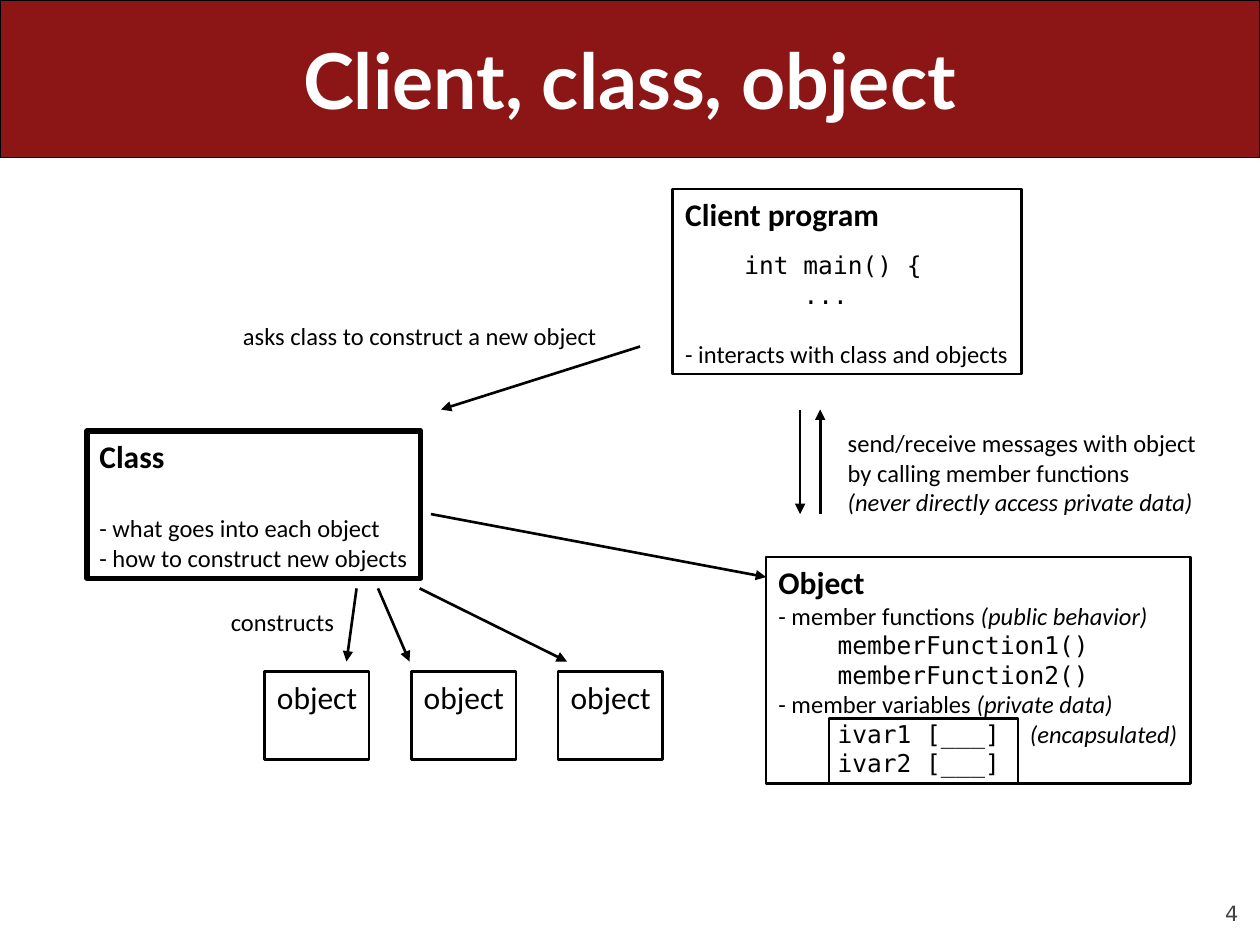
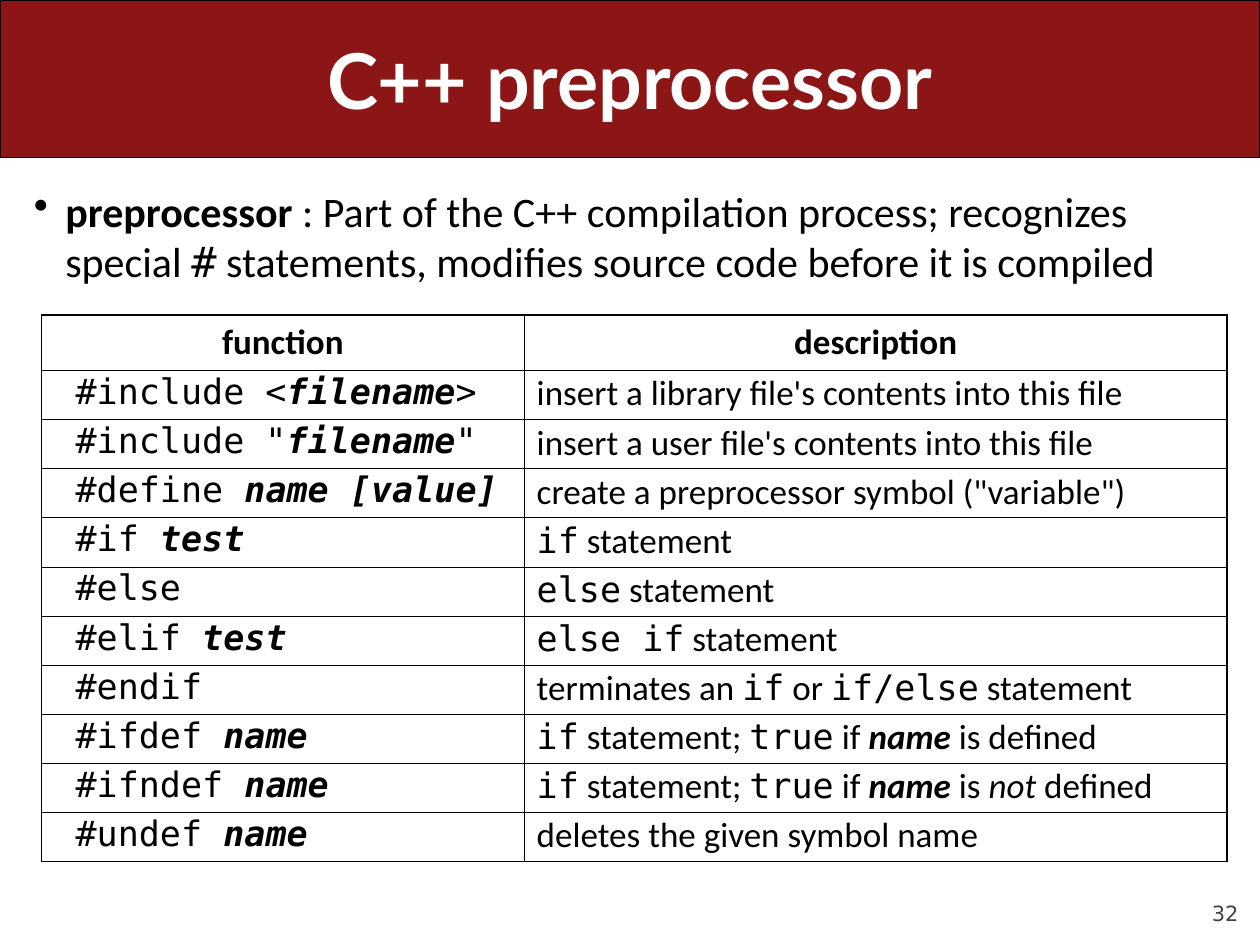
from lxml import etree
from pptx import Presentation
from pptx import util as u
from pptx.dml import color as col
from pptx.enum import shapes as es, text as et
from pptx.oxml import ns

HUE = {"band": "8C1515", "ink": "000000", "paper": "FFFFFF", "grey": "424242"}
FONT = {"head": "Lato", "body": "Calibri", "code": "DejaVu Sans Mono", "page": "DejaVu Sans"}
PAD = {"margin_left": 0.1, "margin_right": 0.1, "margin_top": 0.05, "margin_bottom": 0.05}
TAB = 0.47

# Each run is (words, marks): m = code font, b = bold, i = italic.
BOXES = [
    ((0.69, 3.42, 2.65, 1.17), 3, [
        {"runs": [("Class", "b")], "size": 18},
        {"runs": [("- what goes into each object", "")], "before": 22},
        {"runs": [("- how to construct new objects", "")]}]),
    ((5.34, 1.5, 2.77, 1.47), 1.5, [
        {"runs": [("Client program", "b")], "size": 18},
        {"runs": [("int main() {", "m")], "before": 10, "left": TAB},
        {"runs": [("...", "m")], "left": 2 * TAB},
        {"runs": [("- interacts with class and objects", "")], "before": 17}]),
    ((6.08, 4.42, 3.37, 1.8), 1.5, [
        {"runs": [("Object", "b")], "size": 18},
        {"runs": [("- member functions ", ""), ("(public behavior)", "i")]},
        {"runs": [("memberFunction1()", "m")], "left": TAB},
        {"runs": [("memberFunction2()", "m")], "left": TAB},
        {"runs": [("- member variables ", ""), ("(private data)", "i")]},
        {"runs": [("ivar1 [___]  ", "m"), ("(encapsulated)", "i")], "left": TAB},
        {"runs": [("ivar2 [___]", "m")], "left": TAB}]),
    ((6.58, 5.7, 1.5, 0.52), 1.5, []),
]
BOXES += [((2.1 + 1.165 * i, 5.33, 0.83, 0.7), 1.5,
           [{"runs": [("object", "")], "size": 18}]) for i in range(3)]

LABELS = [
    ((1.83, 2.5, 3.01, 0.34), [{"runs": [("asks class to construct a new object", "")]}]),
    ((1.73, 4.77, 1.02, 0.34), [{"runs": [("constructs", "")], "align": "RIGHT"}]),
    ((6.63, 3.35, 2.97, 0.8), [
        {"runs": [("send/receive messages with object", "")]},
        {"runs": [("by calling member functions", "")]},
        {"runs": [("(never directly access private data)", "i")]}]),
]
ARROWS = [
    (5.08, 2.75, 3.5, 3.25), (3.42, 4.08, 6.08, 4.58),
    (6.35, 3.25, 6.35, 4.08), (6.51, 4.08, 6.51, 3.25),
    (2.83, 4.67, 2.75, 5.25), (3, 4.67, 3.25, 5.25), (3.33, 4.67, 4.5, 5.25),
]

LEAD = [("preprocessor", "b"),
        (" : Part of the C++ compilation process; recognizes special ", ""), ("#", "m"),
        (" statements, modifies source code before it is compiled", "")]
HEADS = ["function", "description"]
STMT = (" statement", "")
COND = [("if", "m"), (" statement; ", ""), ("true", "m"), (" if ", ""), ("name", "bi")]
ROWS = [
    ([("#include <", "m"), ("filename", "mbi"), (">", "m")],
     [("insert a library file's contents into this file", "")]),
    ([('#include "', "m"), ("filename", "mbi"), ('"', "m")],
     [("insert a user file's contents into this file", "")]),
    ([("#define ", "m"), ("name [value]", "mbi")],
     [('create a preprocessor symbol ("variable")', "")]),
    ([("#if ", "m"), ("test", "mbi")], [("if", "m"), STMT]),
    ([("#else", "m")], [("else", "m"), STMT]),
    ([("#elif ", "m"), ("test", "mbi")], [("else if", "m"), STMT]),
    ([("#endif", "m")],
     [("terminates an ", ""), ("if", "m"), (" or ", ""), ("if/else", "m"), STMT]),
    ([("#ifdef ", "m"), ("name", "mbi")], COND + [(" is defined", "")]),
    ([("#ifndef ", "m"), ("name", "mbi")],
     COND + [(" is ", ""), ("not", "i"), (" defined", "")]),
    ([("#undef ", "m"), ("name", "mbi")], [("deletes the given symbol name", "")]),
]
WIDTHS = [3.83, 5.58]
HEIGHTS = [0.44] + [0.39] * len(ROWS)


def rgb(key):
    return col.RGBColor.from_string(HUE[key])


def apply(obj, vals):
    for key, val in vals.items():
        setattr(obj, key, val)


def sub(node, tag, **atts):
    return etree.SubElement(node, ns.qn(tag), atts)


def write(frame, paras, size=14, font="body", hue="ink"):
    for i, par in enumerate(paras):
        para = frame.paragraphs[0] if i == 0 else frame.add_paragraph()
        apply(para, {"alignment": getattr(et.PP_ALIGN, par.get("align", "LEFT")),
                     "space_before": u.Pt(par.get("before", 0)),
                     "line_spacing": par.get("lines", 1.0)})
        if "left" in par:
            para._p.get_or_add_pPr().set("marL", str(u.Inches(par["left"])))
        for words, marks in par["runs"]:
            run = para.add_run()
            run.text = words
            apply(run.font, {"name": FONT["code" if "m" in marks else font],
                             "size": u.Pt(par.get("size", size)),
                             "bold": "b" in marks, "italic": "i" in marks})
            run.font.color.rgb = rgb(hue)


def setup(frame, wrap, anchor="TOP", pad=PAD):
    apply(frame, {key: u.Inches(val) for key, val in pad.items()})
    apply(frame, {"word_wrap": wrap, "auto_size": et.MSO_AUTO_SIZE.NONE,
                  "vertical_anchor": getattr(et.MSO_ANCHOR, anchor)})


def label(slide, spot, paras, wrap=False, anchor="TOP", pad=PAD, **style):
    frame = slide.shapes.add_textbox(*map(u.Inches, spot)).text_frame
    setup(frame, wrap, anchor, pad)
    write(frame, paras, **style)
    return frame


def box(slide, spot, width, paras=(), kind="RECTANGLE", fill=None):
    shape = slide.shapes.add_shape(getattr(es.MSO_SHAPE, kind), *map(u.Inches, spot))
    shape.shadow.inherit = False
    if fill:
        shape.fill.solid()
        shape.fill.fore_color.rgb = rgb(fill)
    else:
        shape.fill.background()
    shape.line.color.rgb = rgb("ink")
    shape.line.width = u.Pt(width)
    setup(shape.text_frame, False)
    write(shape.text_frame, paras)
    return shape


def arrow(slide, ends):
    line = slide.shapes.add_connector(es.MSO_CONNECTOR.STRAIGHT, *map(u.Inches, ends))
    line.line.color.rgb = rgb("ink")
    line.line.width = u.Pt(1.5)
    sub(line.line._get_or_add_ln(), "a:tailEnd", type="triangle")
    sub(line._element.spPr, "a:effectLst")


def start(deck, title, page):
    slide = deck.slides.add_slide(deck.slide_layouts[6])
    band = box(slide, (0, 0, 10, 1.25), 0.75, kind="ROUNDED_RECTANGLE", fill="band")
    band.adjustments[0] = 0
    label(slide, (0.5, 0, 9, 1.25), [{"runs": [(title, "b")], "align": "CENTER"}],
          wrap=True, anchor="MIDDLE", size=44, font="head", hue="paper")
    label(slide, (9, 6.95, 0.83, 0.4), [{"runs": [(page, "")], "align": "RIGHT"}],
          wrap=True, anchor="BOTTOM", pad=dict.fromkeys(PAD, 0),
          size=12, font="page", hue="grey")
    return slide


def edge(cell, outer):
    for side in "LRTB":
        width = u.Pt(1.08 if side in outer else 0.45)
        line = sub(cell._tc.get_or_add_tcPr(), "a:ln" + side, w=str(width))
        sub(sub(line, "a:solidFill"), "a:srgbClr", val=HUE["ink"])


def grid(slide):
    spot = (0.33, 2.5, sum(WIDTHS), sum(HEIGHTS))
    shape = slide.shapes.add_table(len(HEIGHTS), len(WIDTHS), *map(u.Inches, spot))
    table = shape.table
    apply(table, {"first_row": False, "horz_banding": False})
    for part, width in zip(table.columns, WIDTHS):
        part.width = u.Inches(width)
    for part, height in zip(table.rows, HEIGHTS):
        part.height = u.Inches(height)
    heads = [[(head, "b")] for head in HEADS]
    for r, row in enumerate([heads] + ROWS):
        for c, runs in enumerate(row):
            cell = table.cell(r, c)
            edge(cell, "LR"[c] + "T" * (r == 0) + "B" * (r == len(ROWS)))
            cell.fill.background()
            apply(cell, {key: u.Inches(val) for key, val in PAD.items()})
            if r and c == 0:
                cell.margin_left = u.Inches(0.27)
            form = {"lines": 0.85} if r else {"align": "CENTER"}
            write(cell.text_frame, [{"runs": runs, "before": 5, **form}], size=20)


def main():
    deck = Presentation()
    apply(deck, {"slide_width": u.Inches(10), "slide_height": u.Inches(7.5)})

    slide = start(deck, "Client, class, object", "4")
    for spot, width, paras in BOXES:
        box(slide, spot, width, paras)
    for spot, paras in LABELS:
        label(slide, spot, paras)
    for ends in ARROWS:
        arrow(slide, ends)

    slide = start(deck, "C++ preprocessor", "32")
    frame = label(slide, (0.17, 1.42, 9.67, 1), [{"runs": LEAD, "before": 6, "left": 0.25}],
                  wrap=True, size=24)
    props = frame.paragraphs[0]._p.get_or_add_pPr()
    props.set("indent", str(u.Inches(-0.25)))
    sub(props, "a:buChar", char="•")
    grid(slide)
    deck.save("out.pptx")


if __name__ == "__main__":
    main()
